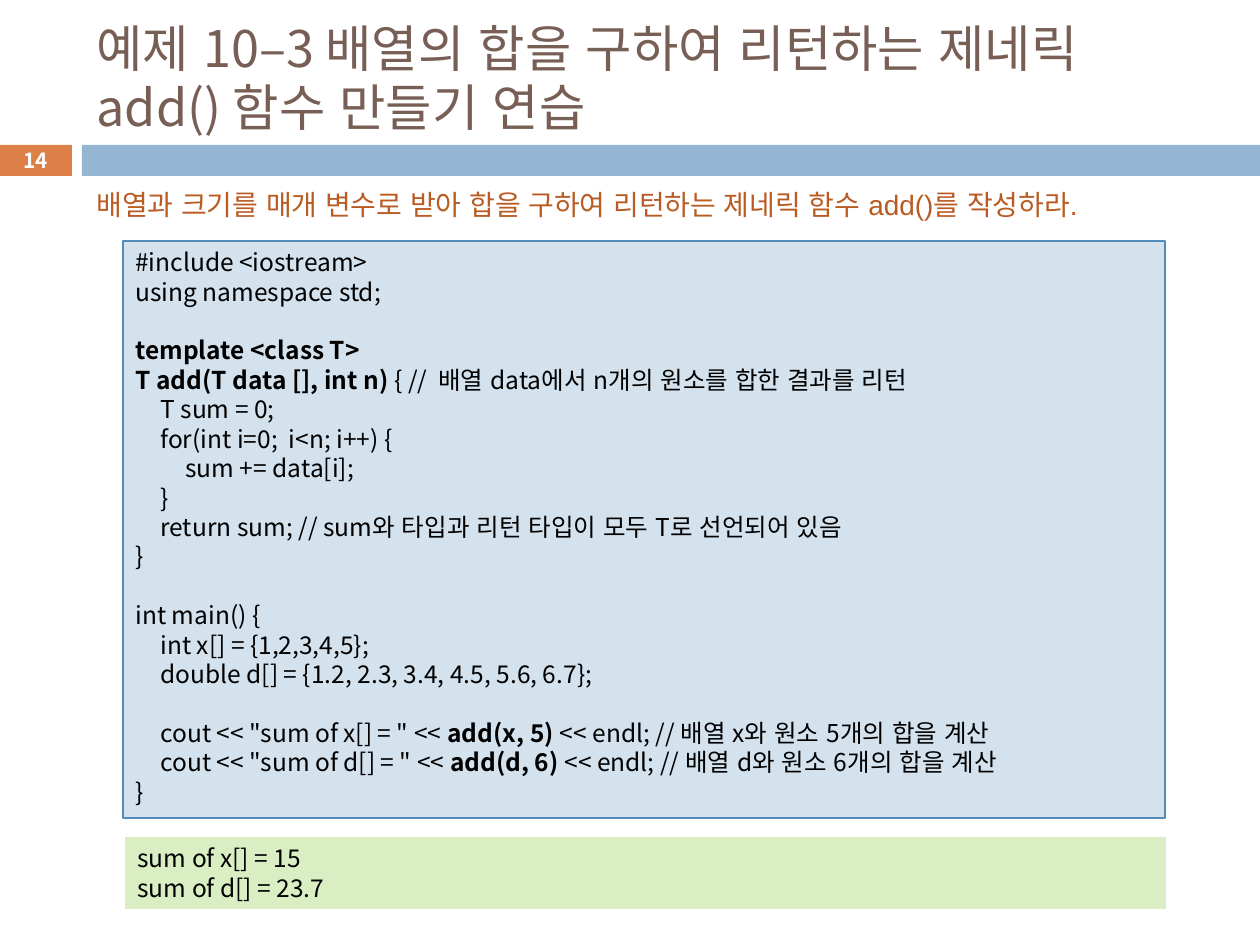
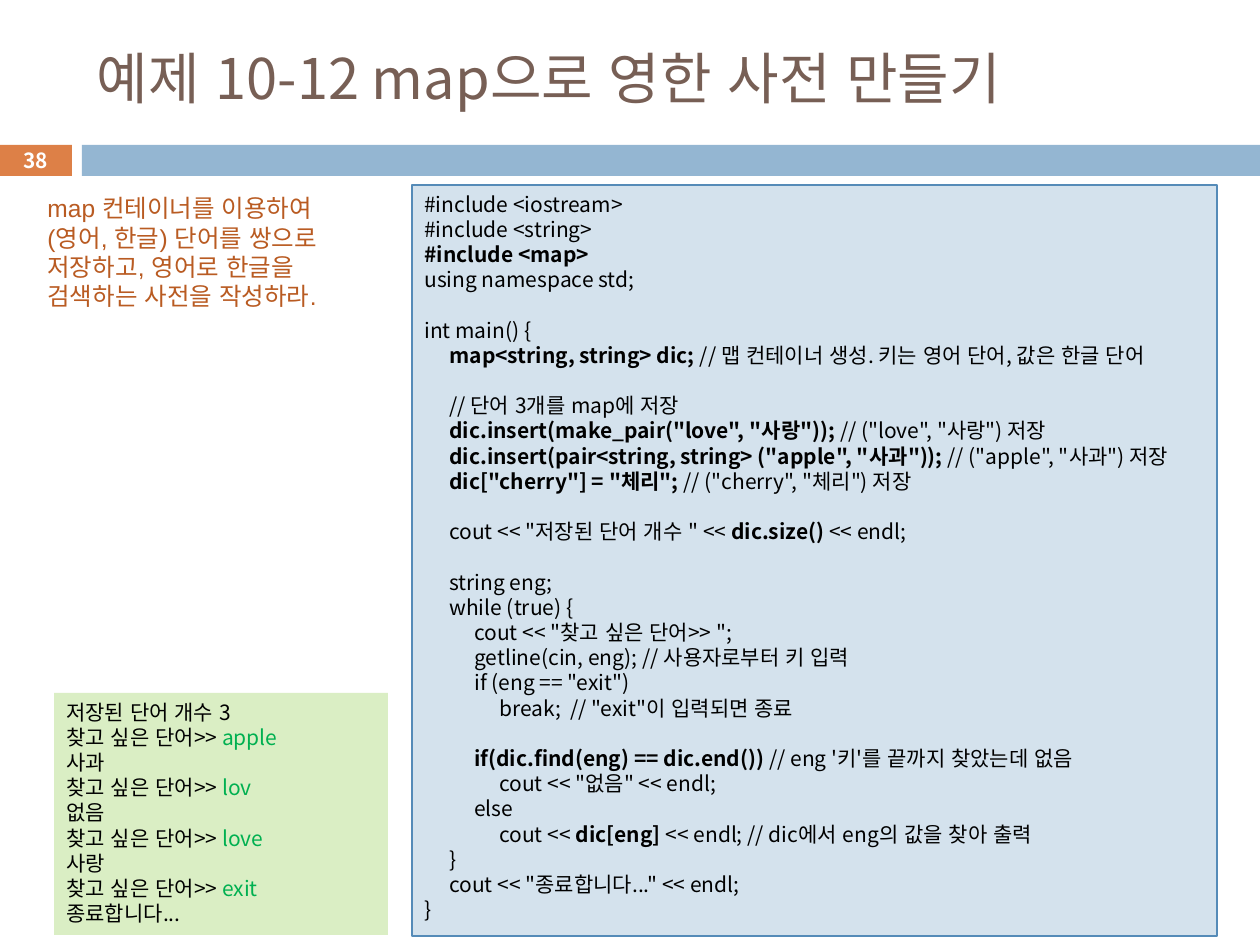
"""Build two slides of generic C++ programming examples."""
from lxml import etree
from pptx import Presentation, util as u
from pptx.dml import color
from pptx.enum import lang, shapes, text
from pptx.oxml import ns

E = 7257
SANS = "Noto Sans CJK KR"
BLUE, ORANGE, BROWN, RUST = "94B6D2", "DD8047", "775F55", "B95B22"
PALE, EDGE, LIME, GREEN = "D4E2ED", "558BB8", "DAEEC4", "00B050"
BLACK, WHITE = "000000", "FFFFFF"
hue = color.RGBColor.from_string


def draw(page, rect, fill, edge=None):
    """Add a plain rectangle."""
    box = page.shapes.add_shape(shapes.MSO_SHAPE.RECTANGLE, *[E * n for n in rect])
    box.shadow.inherit = False
    box.fill.solid()
    box.fill.fore_color.rgb = hue(fill)
    if edge:
        box.line.color.rgb = hue(edge)
        box.line.width = u.Pt(0.75)
    else:
        box.line.fill.background()
    return box


def write(box, body, size, ink, font=SANS, accent=None, bold=False,
          lead=1.2, anchor="TOP", align="LEFT"):
    """Set lines; leading spaces indent, and bars enclose bold or accent parts."""
    frame = box.text_frame
    frame.word_wrap = True
    frame.auto_size = text.MSO_AUTO_SIZE.NONE
    frame.vertical_anchor = text.MSO_ANCHOR[anchor]
    pitch = u.Pt(round(size * lead, 1))
    gap = 0
    used = False
    for line in body.strip().split("\n"):
        if not line.strip():
            gap += pitch
            continue
        para = frame.add_paragraph() if used else frame.paragraphs[0]
        used = True
        code = line.lstrip(" ")
        level = (len(line) - len(code)) // 4
        para.alignment = text.PP_ALIGN[align]
        para.line_spacing = pitch
        para.space_before = u.Emu(gap)
        para.space_after = u.Pt(0)
        gap = 0
        props = para._p.get_or_add_pPr()
        props.set("marL", str(E * 25 * level))
        props.set("indent", "0")
        for i, part in enumerate(code.split("|")):
            if not part:
                continue
            run = para.add_run()
            run.text = part
            mark = i % 2 == 1
            run.font.size = u.Pt(size)
            run.font.name = font
            run.font.bold = bold or (mark and not accent)
            run.font.color.rgb = hue(accent if mark and accent else ink)
            run.font.language_id = lang.MSO_LANGUAGE_ID.KOREAN
            east = etree.SubElement(run._r.get_or_add_rPr(), ns.qn("a:ea"))
            east.set("typeface", SANS)


ADD = """
#include <iostream>
using namespace std;

|template <class T>|
|T add(T data [], int n) |{ //  배열 data에서 n개의 원소를 합한 결과를 리턴
    T sum = 0;
    for(int i=0;  i<n; i++) {
        sum += data[i];
    }
    return sum; // sum와 타입과 리턴 타입이 모두 T로 선언되어 있음
}
"""

MAIN = """
int main() {
    int x[] = {1,2,3,4,5};
    double d[] = {1.2, 2.3, 3.4, 4.5, 5.6, 6.7};

    cout << "sum of x[] = " << |add(x, 5) |<< endl; // 배열 x와 원소 5개의 합을 계산
    cout << "sum of d[] = " << |add(d, 6) |<< endl; // 배열 d와 원소 6개의 합을 계산
}
"""

FILL = """
#include <iostream>
#include <string>
|#include <map>|
using namespace std;

int main() {
    |map<string, string> dic; |// 맵 컨테이너 생성. 키는 영어 단어, 값은 한글 단어

    // 단어 3개를 map에 저장
    |dic.insert(make_pair("love", "사랑")); |// ("love", "사랑") 저장
    |dic.insert(pair<string, string> ("apple", "사과")); |// ("apple", "사과") 저장
    |dic["cherry"] = "체리"; |// ("cherry", "체리") 저장

    cout << "저장된 단어 개수 " << |dic.size() |<< endl;
"""

FIND = """
    string eng;
    while (true) {
        cout << "찾고 싶은 단어>> ";
        getline(cin, eng); // 사용자로부터 키 입력
        if (eng == "exit")
            break;  // "exit"이 입력되면 종료

        |if(dic.find(eng) == dic.end()) |// eng '키'를 끝까지 찾았는데 없음
            cout << "없음" << endl;
        else
            cout << |dic[eng] |<< endl; // dic에서 eng의 값을 찾아 출력
    }
    cout << "종료합니다..." << endl;
}
"""

SUMS = """
sum of x[] = 15
sum of d[] = 23.7
"""

WORDS = """
저장된 단어 개수 3
찾고 싶은 단어>> |apple|
사과
찾고 싶은 단어>> |lov|
없음
찾고 싶은 단어>> |love|
사랑
찾고 싶은 단어>> |exit|
종료합니다...
"""

PAGES = [
    dict(num="14", head="예제 10–3 배열의 합을 구하여 리턴하는 제네릭 add() 함수 만들기 연습",
         big=28.8, task="배열과 크기를 매개 변수로 받아 합을 구하여 리턴하는 제네릭 함수 add()를 작성하라.",
         ask=16, spot=(84, 181, 1105, 47), code=ADD + MAIN, size=14,
         main=(123, 241, 1042, 577), out=SUMS, foot=(125, 837, 1041, 72)),
    dict(num="38", head="예제 10-12 map으로 영한 사전 만들기",
         big=32, task="map 컨테이너를 이용하여 (영어, 한글) 단어를 쌍으로 저장하고, 영어로 한글을 검색하는 사전을 작성하라.",
         ask=14, spot=(35, 187, 348, 131), code=FILL + FIND, size=12,
         main=(412, 185, 805, 751), out=WORDS, foot=(54, 693, 334, 242)),
]

deck = Presentation()
deck.slide_width, deck.slide_height = E * 1260, E * 945
for item in PAGES:
    page = deck.slides.add_slide(deck.slide_layouts[5])
    title = page.shapes.title
    title.left, title.top, title.width, title.height = [E * n for n in (84, 31, 1124, 94)]
    write(title, item["head"], item["big"], BROWN, lead=1.17, anchor="MIDDLE")
    draw(page, (0, 145, 72, 31), ORANGE)
    draw(page, (82, 145, 1178, 31), BLUE)
    num = page.shapes.add_textbox(*[E * n for n in (-1, 143, 73, 34)])
    write(num, item["num"], 11.9, WHITE, bold=True, anchor="MIDDLE", align="CENTER")
    write(draw(page, item["main"], PALE, EDGE), item["code"], item["size"], BLACK)
    write(draw(page, item["foot"], LIME), item["out"], item["size"], BLACK, accent=GREEN)
    task = page.shapes.add_textbox(*[E * n for n in item["spot"]])
    write(task, item["task"], item["ask"], RUST, font="Arial")

deck.save("out.pptx")
